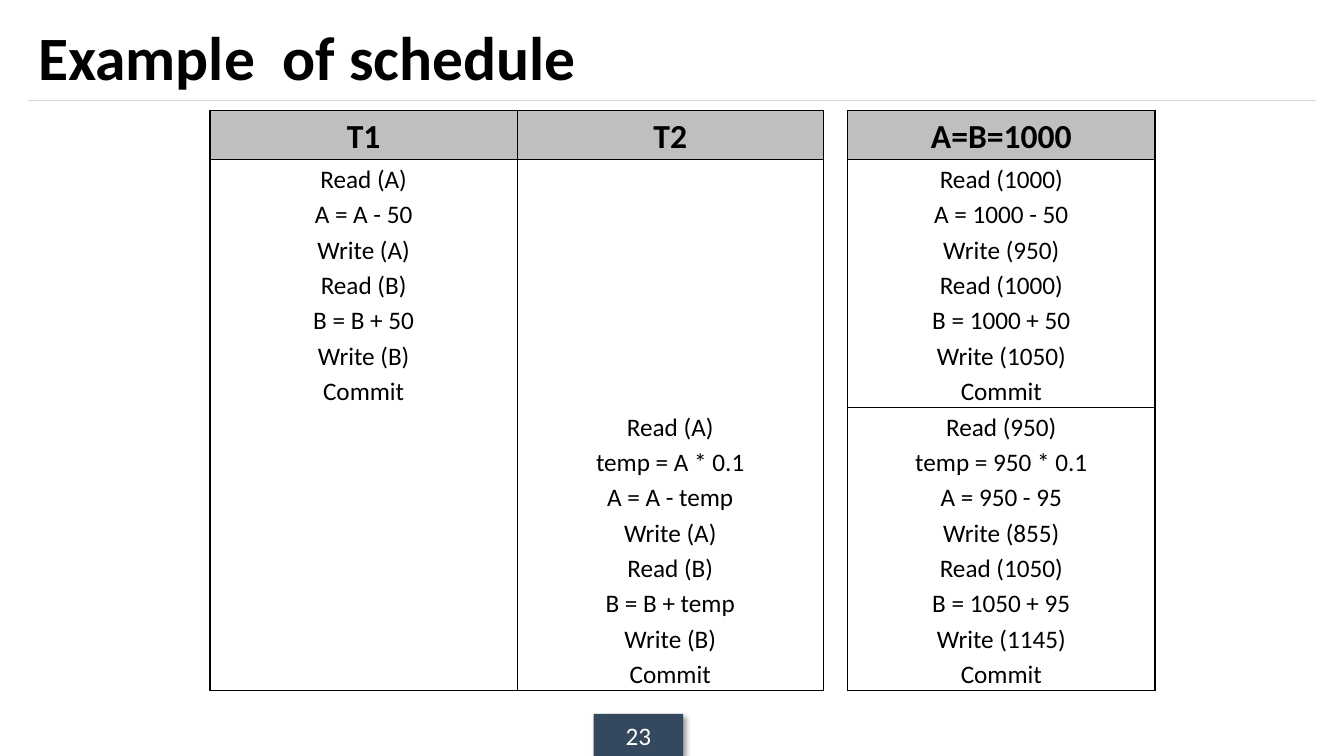
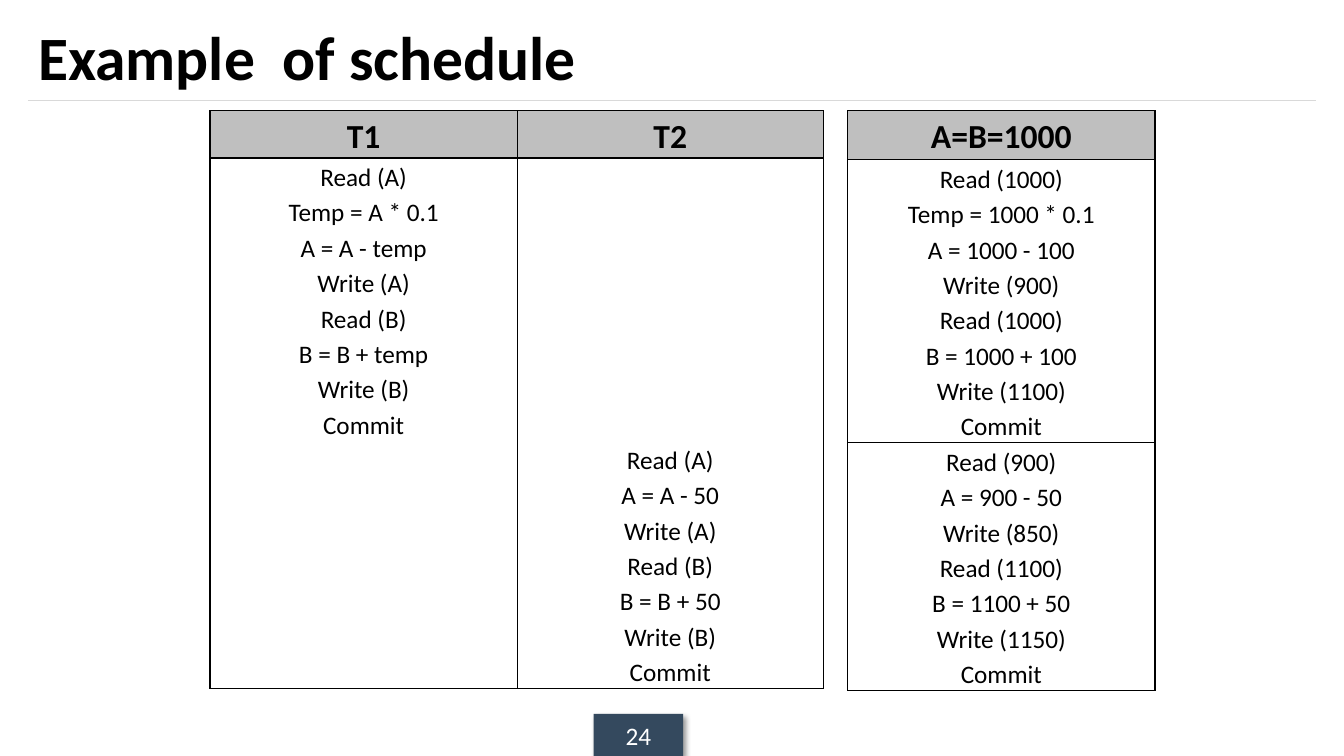
import pptx
import pptx.util
import pptx.dml.color
import pptx.enum.shapes
import pptx.enum.text
import pptx.oxml
import pptx.oxml.ns

Pt = pptx.util.Pt
ALIGN = pptx.enum.text.PP_ALIGN
MIDDLE = pptx.enum.text.MSO_ANCHOR.MIDDLE

FONT = "Calibri"
BLACK, WHITE = "000000", "FFFFFF"
HEADER_FILL, RULE, BADGE = "BFBFBF", "D9D9D9", "34495E"
TABLE_TOP = 79.2
LINE_HEIGHT = 25.25

SCHEDULES = [
    {
        "number": 23,
        "header_height": 35,
        "T1": ["Read (A)", "A = A - 50", "Write (A)", "Read (B)",
               "B = B + 50", "Write (B)", "Commit"],
        "T2": ["Read (A)", "temp = A * 0.1", "A = A - temp", "Write (A)",
               "Read (B)", "B = B + temp", "Write (B)", "Commit"],
        "T1 values": ["Read (1000)", "A = 1000 - 50", "Write (950)", "Read (1000)",
                      "B = 1000 + 50", "Write (1050)", "Commit"],
        "T2 values": ["Read (950)", "temp = 950 * 0.1", "A = 950 - 95", "Write (855)",
                      "Read (1050)", "B = 1050 + 95", "Write (1145)", "Commit"],
    },
    {
        "number": 24,
        "header_height": 33.6,
        "T1": ["Read (A)", "Temp = A * 0.1", "A = A - temp", "Write (A)",
               "Read (B)", "B = B + temp", "Write (B)", "Commit"],
        "T2": ["Read (A)", "A = A - 50", "Write (A)", "Read (B)",
               "B = B + 50", "Write (B)", "Commit"],
        "T1 values": ["Read (1000)", "Temp = 1000 * 0.1", "A = 1000 - 100", "Write (900)",
                      "Read (1000)", "B = 1000 + 100", "Write (1100)", "Commit"],
        "T2 values": ["Read (900)", "A = 900 - 50", "Write (850)", "Read (1100)",
                      "B = 1100 + 50", "Write (1150)", "Commit"],
    },
]


def color(hex_value):
    return pptx.dml.color.RGBColor.from_string(hex_value)


def paint(target, hex_value):
    target.solid()
    target.fore_color.rgb = color(hex_value)


def style(paragraph, size, hex_value=BLACK, bold=False, align=ALIGN.CENTER):
    paragraph.alignment = align
    font = paragraph.font
    font.name, font.size, font.bold = FONT, Pt(size), bold
    font.color.rgb = color(hex_value)


def add_xml(parent, body):
    tag, rest = body.split(" ", 1)
    namespace = pptx.oxml.ns.nsdecls("a")
    parent.append(pptx.oxml.parse_xml(f"<a:{tag} {namespace} {rest}"))


def add_title(slide, left, top, width, height):
    title = slide.shapes.title
    title.left, title.top, title.width, title.height = map(Pt, (left, top, width, height))
    frame = title.text_frame
    frame.auto_size = pptx.enum.text.MSO_AUTO_SIZE.NONE
    frame.vertical_anchor = MIDDLE
    frame.text = "Example  of schedule"
    style(frame.paragraphs[0], 44, bold=True, align=ALIGN.LEFT)

    bottom = top + height
    underline = slide.shapes.add_connector(
        pptx.enum.shapes.MSO_CONNECTOR.STRAIGHT,
        Pt(left), Pt(bottom), Pt(left + width), Pt(bottom))
    underline.line.width = Pt(0.75)
    paint(underline.line.fill, RULE)
    add_xml(underline.element.spPr, "effectLst />")


def add_page_badge(slide, number, left, top, width, height):
    badge = slide.shapes.add_shape(
        pptx.enum.shapes.MSO_SHAPE.RECTANGLE, *map(Pt, (left, top, width, height)))
    paint(badge.fill, BADGE)
    badge.line.fill.background()
    badge.shadow.inherit = False
    effects = badge.element.spPr.find(pptx.oxml.ns.qn("a:effectLst"))
    add_xml(effects,
            f'outerShdw blurRad="{Pt(4)}" dist="{Pt(3)}" dir="2700000" algn="tl" '
            f'rotWithShape="0"><a:srgbClr val="{BLACK}"><a:alpha val="40000"/>'
            '</a:srgbClr></a:outerShdw>')
    frame = badge.text_frame
    frame.vertical_anchor = MIDDLE
    frame.text = str(number)
    style(frame.paragraphs[0], 18, WHITE)


def set_borders(cell, hidden):
    properties = cell._tc.get_or_add_tcPr()
    for side in "LRTB":
        fill = ("<a:noFill/>" if side in hidden
                else f'<a:solidFill><a:srgbClr val="{BLACK}"/></a:solidFill>')
        add_xml(properties, f'ln{side} w="{Pt(1)}">{fill}</a:ln{side}>')


def add_schedule_table(slide, left, top, widths, header_height, headers, steps, divided):
    heights = [header_height] + [LINE_HEIGHT * max(map(len, row)) for row in steps]
    table = slide.shapes.add_table(
        len(heights), len(widths), Pt(left), Pt(top),
        Pt(sum(widths)), Pt(sum(heights))).table
    table.first_row = table.horz_banding = False
    for column, width in zip(table.columns, widths):
        column.width = Pt(width)
    for row, height in zip(table.rows, heights):
        row.height = Pt(height)

    hidden_sides = ["", "", ""] if divided else ["", "B", "T"]
    for row_index, row in enumerate([[[header] for header in headers]] + steps):
        is_header = row_index == 0
        for column_index, lines in enumerate(row):
            cell = table.cell(row_index, column_index)
            cell.margin_left = cell.margin_right = Pt(5)
            cell.margin_top = cell.margin_bottom = Pt(0)
            set_borders(cell, hidden_sides[row_index])
            if is_header:
                paint(cell.fill, HEADER_FILL)
            else:
                cell.fill.background()
            cell.text = "\n".join(lines)
            for paragraph in cell.text_frame.paragraphs:
                paragraph.line_spacing = 1.15
                style(paragraph, 24 if is_header else 18, bold=is_header)


def add_schedule_slide(prs, schedule):
    slide = prs.slides.add_slide(prs.slide_layouts[5])
    add_page_badge(slide, schedule["number"], 424, 510, 64, 30)
    add_title(slide, 20, 8.5, 920, 63.5)
    add_schedule_table(
        slide, 150, TABLE_TOP, [219.5, 218.5], schedule["header_height"], ["T1", "T2"],
        [[schedule["T1"], []], [[], schedule["T2"]]], divided=False)
    add_schedule_table(
        slide, 605.5, TABLE_TOP, [219.5], 35, ["A=B=1000"],
        [[schedule["T1 values"]], [schedule["T2 values"]]], divided=True)


def main():
    prs = pptx.Presentation()
    prs.slide_width, prs.slide_height = Pt(960), Pt(540)
    for schedule in SCHEDULES:
        add_schedule_slide(prs, schedule)
    prs.save("out.pptx")


if __name__ == "__main__":
    main()
